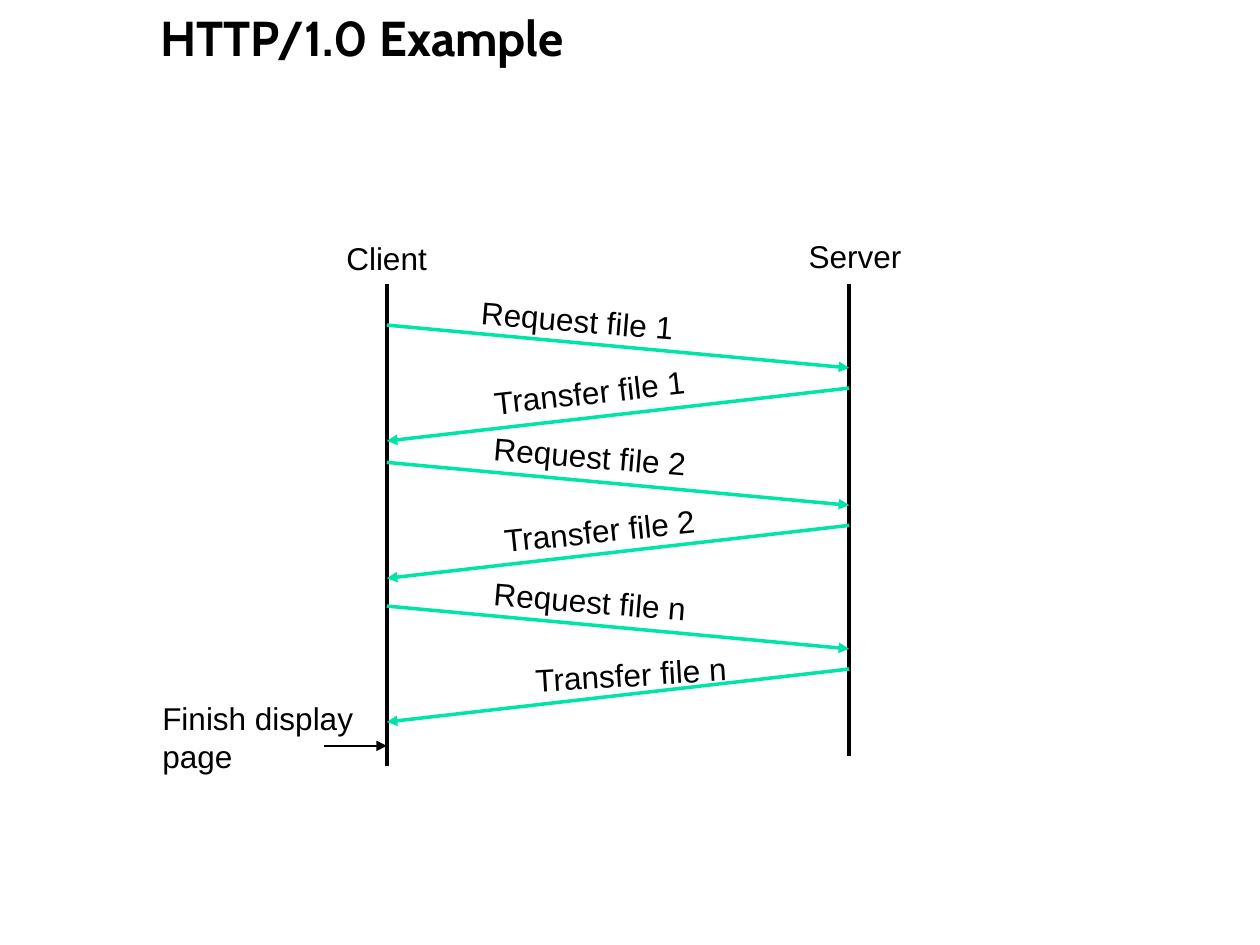
import pptx
import pptx.util
import pptx.dml.color
import pptx.enum.shapes
import pptx.enum.text
import pptx.oxml.ns

Inches = pptx.util.Inches
Anchor = pptx.enum.text.MSO_ANCHOR
Fit = pptx.enum.text.MSO_AUTO_SIZE

THEME = {
    "ink": "000000", "flow": "00E4A8",
    "head": "Cabin", "body": "Arial",
    "big": 28, "size": 18,
    "thick": 2, "thin": 1,
}

TITLE = "HTTP/1.0 Example"
CLIENT, SERVER = 3.07, 6.74  # x of the two lifelines
TOP = 2.25
# name, lifeline x, lifeline end, label left, top, width
HOSTS = [
    ("Client", CLIENT, 6.08, 2.65, 1.85, 0.88),
    ("Server", SERVER, 6.0, 6.32, 1.83, 0.98),
]
# file, start y, (left, top, turn) of the request and transfer labels
TRIPS = [
    ("1", 2.58, (3.72, 2.34, 4.7), (3.82, 2.91, -6.4)),
    ("2", 3.67, (3.82, 3.42, 4.7), (3.9, 4.01, -5.9)),
    ("n", 4.81, (3.82, 4.57, 4.7), (4.15, 5.15, -3.4)),
]
ASK, WAIT, SEND = 0.34, 0.5, 0.42  # request drop, reply offset, reply drop
LABEL = (1.73, 0.4)
DONE = "Finish display\npage"
DONE_Y = 5.92


def color(key):
    return pptx.dml.color.RGBColor.from_string(THEME[key])


def write(shape, text, font="body", size="size", bold=False,
          anchor=Anchor.TOP, wrap=False, fit=Fit.SHAPE_TO_FIT_TEXT):
    frame = shape.text_frame
    frame.text = text
    frame.word_wrap = wrap
    frame.auto_size = fit
    frame.vertical_anchor = anchor
    for para in frame.paragraphs:
        para.alignment = pptx.enum.text.PP_ALIGN.LEFT
        for run in para.runs:
            run.font.name = THEME[font]
            run.font.size = pptx.util.Pt(THEME[size])
            run.font.bold = bold
            run.font.color.rgb = color("ink")


def label(slide, text, left, top, width, height, turn=0):
    box = slide.shapes.add_textbox(*map(Inches, (left, top, width, height)))
    box.rotation = turn
    write(box, text)


def line(slide, start, end, ink="ink", width="thick", arrow=True):
    link = slide.shapes.add_connector(
        pptx.enum.shapes.MSO_CONNECTOR.STRAIGHT, *map(Inches, start + end))
    link.line.color.rgb = color(ink)
    link.line.width = pptx.util.Pt(THEME[width])
    name = pptx.oxml.ns.qn
    props = link._element.spPr
    if arrow:
        stroke = props.find(name("a:ln"))
        stroke.append(stroke.makeelement(
            name("a:tailEnd"), {"type": "triangle"}))
    props.append(props.makeelement(name("a:effectLst"), {}))


def main():
    deck = pptx.Presentation()
    deck.slide_width, deck.slide_height = Inches(10), Inches(7.5)
    slide = deck.slides.add_slide(deck.slide_layouts[5])

    title = slide.shapes.title
    title.left, title.top = Inches(1.17), Inches(-0.33)
    title.width, title.height = Inches(8.5), Inches(1.25)
    write(title, TITLE, font="head", size="big", bold=True,
          anchor=Anchor.MIDDLE, wrap=True, fit=Fit.NONE)

    for name, x, end, left, top, width in HOSTS:
        line(slide, (x, TOP), (x, end), arrow=False)
        label(slide, name, left, top, width, 0.4)

    for file, y, ask, send in TRIPS:
        reply = y + WAIT
        line(slide, (CLIENT, y), (SERVER, y + ASK), ink="flow")
        line(slide, (SERVER, reply), (CLIENT, reply + SEND), ink="flow")
        for verb, (left, top, turn) in (("Request", ask), ("Transfer", send)):
            label(slide, f"{verb} file {file}", left, top, *LABEL, turn=turn)

    label(slide, DONE, 1.19, 5.5, 1.76, 0.7)
    line(slide, (CLIENT - 0.5, DONE_Y), (CLIENT, DONE_Y), width="thin")

    deck.save("out.pptx")


if __name__ == "__main__":
    main()
